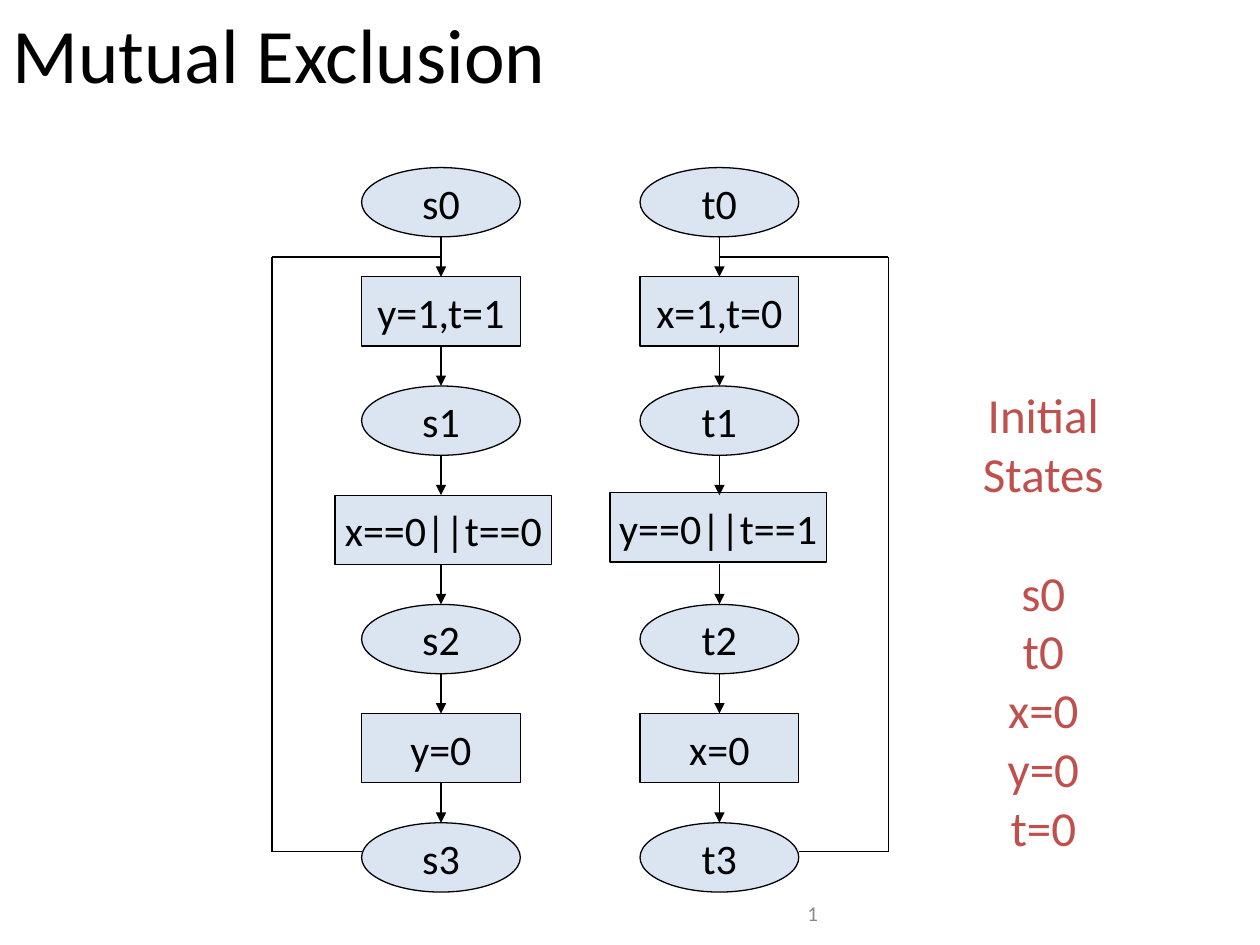
from lxml.etree import SubElement
from pptx import Presentation
from pptx.dml.color import RGBColor
from pptx.enum.shapes import MSO_CONNECTOR, MSO_SHAPE
from pptx.enum.text import MSO_ANCHOR, PP_ALIGN
from pptx.oxml.ns import qn
from pptx.util import Inches, Pt

COLORS = {"text": "000000", "line": "000000", "node": "4F81BD",
          "states": "C0504D", "number": "898989"}
NODE_HEIGHT = 0.55
WIDE_WIDTH = 1.72


def color(name):
    """Return the named palette colour."""
    return RGBColor.from_string(COLORS[name])


def style_paragraph(paragraph, text, size, color_name, alignment):
    """Fill one paragraph and set its font and alignment."""
    paragraph.text = text
    paragraph.alignment = alignment
    paragraph.font.name = "Calibri"
    paragraph.font.size = Pt(size)
    paragraph.font.color.rgb = color(color_name)


def add_text(slide, box, lines, size, color_name, alignment):
    """Add a wrapping text box with one paragraph per line."""
    frame = slide.shapes.add_textbox(*map(Inches, box)).text_frame
    frame.word_wrap = True
    frame.vertical_anchor = MSO_ANCHOR.MIDDLE
    for index, line in enumerate(lines):
        paragraph = frame.add_paragraph() if index else frame.paragraphs[0]
        style_paragraph(paragraph, line, size, color_name, alignment)
    return frame


def add_node(slide, kind, box, label):
    """Add a translucent flowchart node with a centred label."""
    shape = slide.shapes.add_shape(kind, *map(Inches, box))
    shape.shadow.inherit = False
    shape.fill.solid()
    shape.fill.fore_color.rgb = color("node")
    fill_color = shape.fill._xPr.find(qn("a:solidFill"))[0]
    SubElement(fill_color, qn("a:alpha"), val="20000")
    shape.line.color.rgb = color("line")
    shape.line.width = Pt(0.75)
    frame = shape.text_frame
    frame.word_wrap = False
    frame.vertical_anchor = MSO_ANCHOR.MIDDLE
    style_paragraph(frame.paragraphs[0], label, 24, "text", PP_ALIGN.CENTER)


def add_line(slide, start, end, arrow=False):
    """Add a thin straight line, optionally ending in an arrowhead."""
    connector = slide.shapes.add_connector(
        MSO_CONNECTOR.STRAIGHT, *map(Inches, (*start, *end)))
    connector.line.color.rgb = color("line")
    connector.line.width = Pt(0.75)
    if arrow:
        SubElement(connector.line._get_or_add_ln(), qn("a:tailEnd"), type="triangle")
    SubElement(connector._element.spPr, qn("a:effectLst"))


def add_process(slide, box, labels, guard_corner, loop_x):
    """Draw one process as alternating states and actions with a loop back."""
    left, top, width, height = box
    center = left + width / 2
    step = (height - NODE_HEIGHT) / (len(labels) - 1)
    for index in range(len(labels) - 1):
        node_top = top + index * step
        add_line(slide, (center, node_top + NODE_HEIGHT), (center, node_top + step), arrow=True)
    for index, label in enumerate(labels):
        kind = MSO_SHAPE.RECTANGLE if index % 2 else MSO_SHAPE.OVAL
        node_box = (left, top + index * step, width, NODE_HEIGHT)
        if "||" in label:
            node_box = (*guard_corner, WIDE_WIDTH, NODE_HEIGHT)
        add_node(slide, kind, node_box, label)
    edge = left if loop_x < left else left + width
    loop_top, loop_bottom = top + 0.71, top + 5.43
    corners = [(edge, loop_bottom), (loop_x, loop_bottom), (loop_x, loop_top), (center, loop_top)]
    for start, end in zip(corners, corners[1:]):
        add_line(slide, start, end)


def add_initial_states(slide, box):
    """List the initial states below their heading."""
    lines = ["Initial States", "s0", "t0", "x=0", "y=0", "t=0"]
    frame = add_text(slide, box, lines, 28, "states", PP_ALIGN.CENTER)
    frame.paragraphs[1].space_before = Pt(34)


def add_page_number(slide, box):
    """Place the page number at the lower right of its box."""
    frame = add_text(slide, box, ["1"], 12, "number", PP_ALIGN.RIGHT)
    frame.vertical_anchor = MSO_ANCHOR.BOTTOM
    frame.margin_bottom = 0


def main():
    """Build and save the slide."""
    presentation = Presentation()
    presentation.slide_width = Inches(10)
    presentation.slide_height = Inches(7.5)
    slide = presentation.slides.add_slide(presentation.slide_layouts[6])
    add_text(slide, (0, 0, 10, 0.84), ["Mutual Exclusion"], 44, "text", PP_ALIGN.LEFT)
    add_process(slide, (2.87, 1.33, 1.26, 5.75),
                ["s0", "y=1,t=1", "s1", "x==0||t==0", "s2", "y=0", "s3"], (2.66, 3.93), 2.16)
    add_process(slide, (5.08, 1.33, 1.26, 5.75),
                ["t0", "x=1,t=0", "t1", "y==0||t==1", "t2", "x=0", "t3"], (4.84, 3.91), 7.05)
    add_initial_states(slide, (7.34, 3.05, 1.88, 3.75))
    add_page_number(slide, (3.42, 6.95, 3.17, 0.4))
    presentation.save("out.pptx")


if __name__ == "__main__":
    main()
